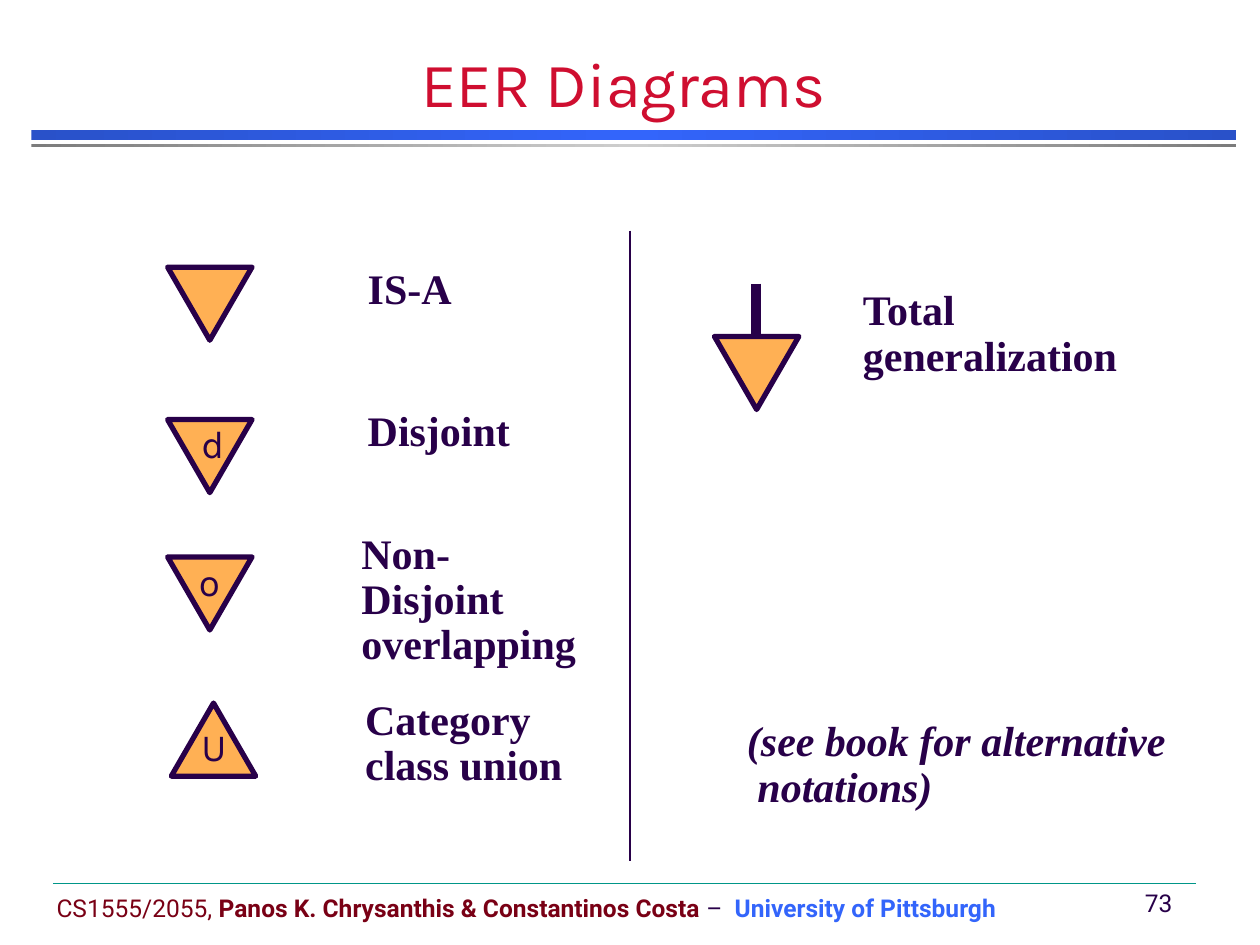
from copy import deepcopy

from pptx import Presentation
from pptx import util as u
from pptx.dml.color import RGBColor
from pptx.enum import shapes, text
from pptx.oxml.ns import qn


class Theme:
    ink, title, course, link = "280049", "CF0E30", "790015", "3365FB"
    symbol, rule = "FFB054", "009688"
    blue_bar = ("2951C9", "3365FB", "2951C9")
    grey_bar = ("7C7C7C", "CECECE", "7C7C7C")
    heading_font, label_font, footer_font = "Karla", "Times New Roman", "Roboto"
    title_size, label_size, letter_size, footer_size = 36, 24, 22, 14


# Content: positions in inches
TITLE = "EER Diagrams"
BARS = [(1.03, 0.08, Theme.blue_bar), (1.14, 0.03, Theme.grey_bar)]
# left, top, points down
TRIANGLES = [(1.33, 2.12, True), (1.33, 3.33, True), (1.33, 4.42, True),
             (1.36, 5.58, False), (5.67, 2.67, True)]
LETTERS = [("d", 1.5, 3.33, 0.37), ("o", 1.48, 4.42, 0.37), ("U", 1.5, 5.73, 0.4)]
# lines, left, top, width, italic
LABELS = [
    (["IS-A"], 2.82, 2.08, 0.87, False),
    (["Disjoint"], 2.82, 3.21, 1.33, False),
    (["Non-Disjoint", "overlapping"], 2.77, 4.18, 2.03, False),
    (["Category", "class union"], 2.8, 5.5, 1.77, False),
    (["Total", "generalization"], 6.75, 2.25, 2.22, False),
    (["(see book for alternative", " notations)"], 5.83, 5.67, 3.52, True),
]
# start, end, colour, width in points
LINES = [
    ((5, 1.83), (5, 6.83), Theme.ink, 1),       # column divider
    ((6, 2.25), (6, 2.67), Theme.ink, 6),       # total generalization stem
    ((0.42, 7.01), (9.49, 7.01), Theme.rule, 0.25),  # footer rule
]
FOOTER = [
    ("CS1555/2055, ", Theme.course, False),
    ("Panos K. Chrysanthis & Constantinos Costa", Theme.course, True),
    (" –  ", Theme.ink, False),
    ("University of Pittsburgh", Theme.link, True),
]
PAGE = "73"

prs = Presentation()
prs.slide_width, prs.slide_height = u.Inches(10), u.Inches(7.5)
slide = prs.slides.add_slide(prs.slide_layouts[6])


def inches(*lengths):
    return [u.Inches(length) for length in lengths]


def add_box(left, top, width, height, anchor=text.MSO_ANCHOR.TOP, wrap=False,
            align=text.PP_ALIGN.LEFT, spacing=1.0):
    frame = slide.shapes.add_textbox(*inches(left, top, width, height)).text_frame
    frame.word_wrap = wrap
    frame.vertical_anchor = anchor
    paragraph = frame.paragraphs[0]
    paragraph.alignment = align
    paragraph.line_spacing = spacing
    return paragraph


def add_run(paragraph, words, font, size, color, bold=False, italic=False):
    run = paragraph.add_run()
    run.text = words
    run.font.name, run.font.size = font, u.Pt(size)
    run.font.bold, run.font.italic = bold, italic
    run.font.color.rgb = RGBColor.from_string(color)


def add_bar(top, height, colors):
    bar = slide.shapes.add_shape(shapes.MSO_SHAPE.RECTANGLE,
                                 *inches(0.25, top, 9.56, height))
    bar.shadow.inherit = False
    bar.line.fill.background()
    bar.fill.gradient()
    bar.fill.gradient_angle = 0
    # A third, middle stop
    stop_list = bar.fill._fill._gradFill.find(qn("a:gsLst"))
    stop_list.insert(1, deepcopy(stop_list[0]))
    for stop, color, position in zip(bar.fill.gradient_stops, colors, (0, 0.5, 1)):
        stop.color.rgb = RGBColor.from_string(color)
        stop.position = position


def add_triangle(left, top, points_down):
    triangle = slide.shapes.add_shape(shapes.MSO_SHAPE.ISOSCELES_TRIANGLE,
                                      *inches(left, top, 0.67, 0.58))
    triangle.shadow.inherit = False
    triangle.rotation = 180 if points_down else 0
    triangle.fill.solid()
    triangle.fill.fore_color.rgb = RGBColor.from_string(Theme.symbol)
    triangle.line.color.rgb = RGBColor.from_string(Theme.ink)
    triangle.line.width = u.Pt(3)


def add_line(start, end, color, width):
    line = slide.shapes.add_connector(shapes.MSO_CONNECTOR.STRAIGHT,
                                      *inches(*start, *end))
    line.line.color.rgb = RGBColor.from_string(color)
    line.line.width = u.Pt(width)
    properties = line._element.spPr
    properties.append(properties.makeelement(qn("a:effectLst"), {}))


# Title and double bar
for bar in BARS:
    add_bar(*bar)
heading = add_box(0, 0.42, 9.9, 0.58, text.MSO_ANCHOR.BOTTOM, True,
                  text.PP_ALIGN.CENTER)
add_run(heading, TITLE, Theme.heading_font, Theme.title_size, Theme.title)

# Symbols, letters and labels
for triangle in TRIANGLES:
    add_triangle(*triangle)
for letter, left, top, width in LETTERS:
    add_run(add_box(left, top, width, 0.47, spacing=0.9), letter,
            Theme.heading_font, Theme.letter_size, Theme.ink)
for lines, left, top, width, italic in LABELS:
    label = add_box(left, top, width, 0.1 + 0.4 * len(lines), spacing=0.9)
    for number, words in enumerate(lines):
        if number:
            label.add_line_break()
        add_run(label, words, Theme.label_font, Theme.label_size, Theme.ink,
                True, italic)
for line in LINES:
    add_line(*line)

# Footer and page number
footer = add_box(0.35, 7.04, 8.11, 0.33, text.MSO_ANCHOR.MIDDLE)
for words, color, bold in FOOTER:
    add_run(footer, words, Theme.footer_font, Theme.footer_size, color, bold)
page = add_box(8.95, 7, 0.49, 0.33, text.MSO_ANCHOR.MIDDLE,
               align=text.PP_ALIGN.CENTER)
add_run(page, PAGE, Theme.footer_font, Theme.footer_size, Theme.ink)

prs.save("out.pptx")
